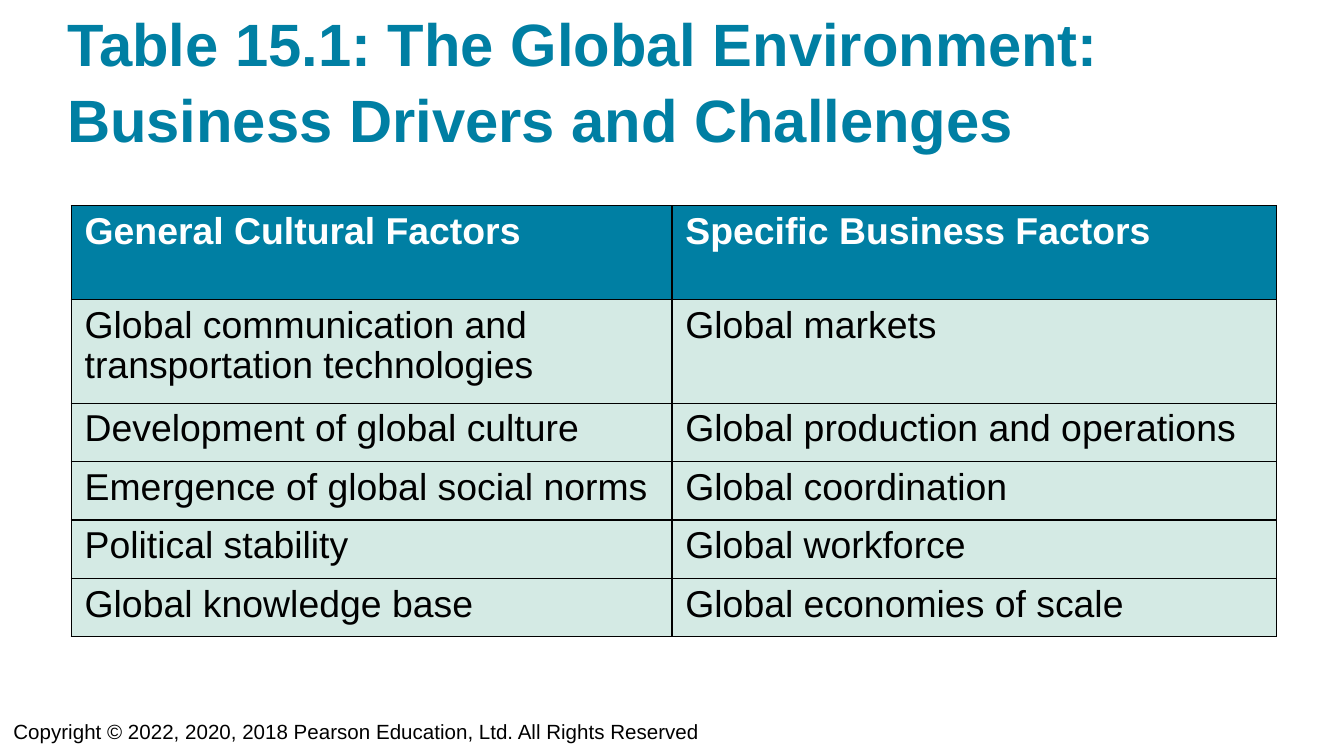
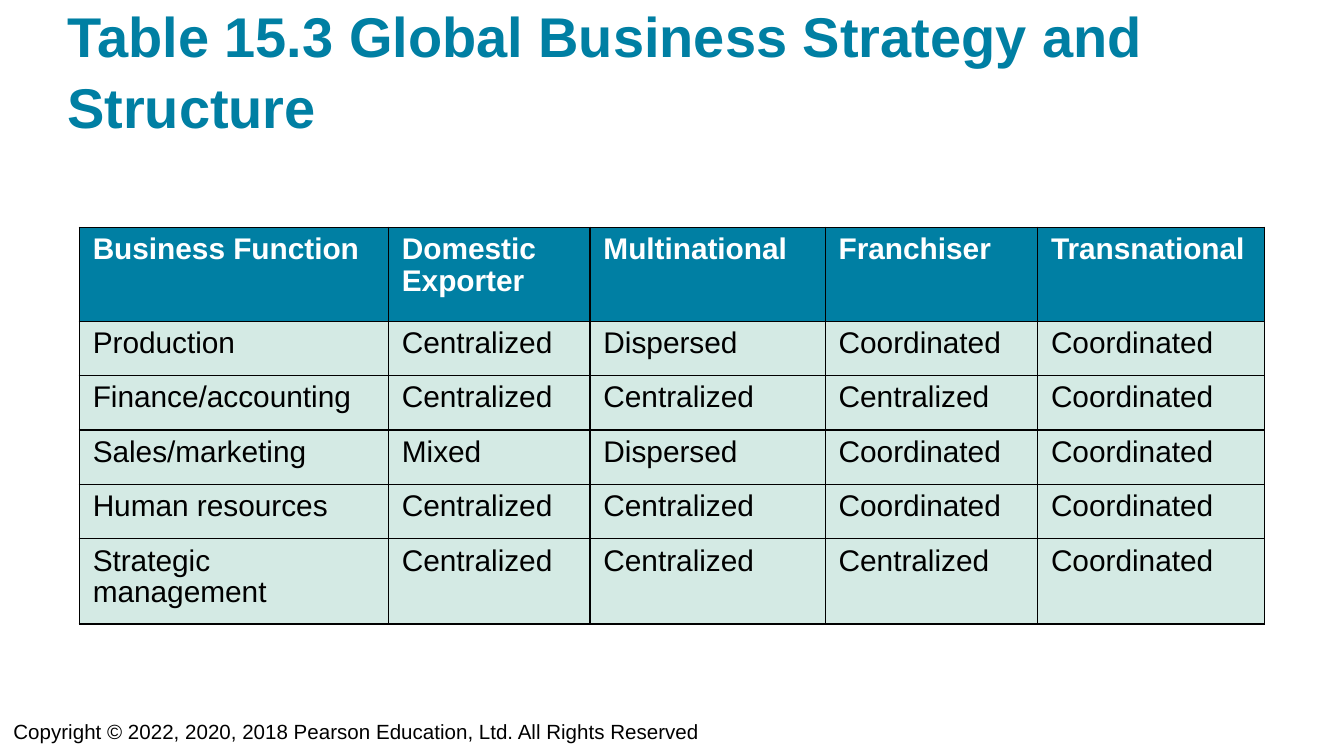
from dataclasses import dataclass

from lxml.etree import SubElement
from pptx import Presentation
from pptx.dml.color import RGBColor
from pptx.enum.text import MSO_ANCHOR as Anchor, MSO_AUTO_SIZE as AutoSize, PP_ALIGN as Align
from pptx.oxml.ns import qn
from pptx.presentation import Presentation as Deck
from pptx.shapes.base import BaseShape
from pptx.slide import Slide
from pptx.table import _Cell as Cell
from pptx.text.text import TextFrame, _Paragraph as Paragraph
from pptx.util import Emu, Inches, Pt

COLORS = {
    "background": "FFFFFF",
    "accent": "007FA3",
    "body": "D4EAE4",
    "header_text": "FFFFFF",
    "text": "000000",
    "border": "000000",
}
FONT = "Arial"
GRID_COLUMNS = 100
SLIDE_WIDTH = Inches(10)
SLIDE_HEIGHT = Emu(SLIDE_WIDTH * 9 // 16)
BORDER_WIDTH = Pt(0.75)
TITLE_SPACING = 1.06
CELL_SPACING = 0.96
COPYRIGHT = "Copyright © 2022, 2020, 2018 Pearson Education, Ltd. All Rights Reserved"


@dataclass(frozen=True)
class Box:
    """A place on the slide, in units of the square grid."""

    left: float
    top: float
    width: float
    height: float


@dataclass(frozen=True)
class TableSlide:
    """The title and the table of one slide, in grid units and points."""

    title: str
    title_box: Box
    title_size: int
    table_left: float
    table_top: float
    column_widths: tuple[float, ...]
    row_heights: tuple[float, ...]
    text_size: int
    rows: tuple[tuple[str, ...], ...]


FOOTER_BOX = Box(1, 52.6, 94, 2.7)

TABLE_SLIDES = (
    TableSlide(
        title="Table 15.1: The Global Environment: Business Drivers and Challenges",
        title_box=Box(5, 0.7, 90, 10.8),
        title_size=32,
        table_left=5.3,
        table_top=15.3,
        column_widths=(44.7, 45),
        row_heights=(7, 7.7) + (4.35,) * 4,
        text_size=20,
        rows=(
            ("General Cultural Factors", "Specific Business Factors"),
            ("Global communication and transportation technologies", "Global markets"),
            ("Development of global culture", "Global production and operations"),
            ("Emergence of global social norms", "Global coordination"),
            ("Political stability", "Global workforce"),
            ("Global knowledge base", "Global economies of scale"),
        ),
    ),
    TableSlide(
        title="Table 15.3 Global Business Strategy and Structure",
        title_box=Box(5, 0.3, 90, 10.1),
        title_size=30,
        table_left=5.9,
        table_top=16.9,
        column_widths=(23, 15, 17.5, 15.8, 16.9),
        row_heights=(7,) + (4.05,) * 4 + (6.35,),
        text_size=16,
        rows=(
            ("Business Function", "Domestic Exporter", "Multinational", "Franchiser", "Transnational"),
            ("Production", "Centralized", "Dispersed", "Coordinated", "Coordinated"),
            ("Finance/accounting", "Centralized", "Centralized", "Centralized", "Coordinated"),
            ("Sales/marketing", "Mixed", "Dispersed", "Coordinated", "Coordinated"),
            ("Human resources", "Centralized", "Centralized", "Coordinated", "Coordinated"),
            ("Strategic management", "Centralized", "Centralized", "Centralized", "Coordinated"),
        ),
    ),
)


def grid(units: float) -> Emu:
    """Turn grid units into a length."""
    return Emu(round(units * SLIDE_WIDTH / GRID_COLUMNS))


def color(name: str) -> RGBColor:
    """Look up a named colour."""
    return RGBColor.from_string(COLORS[name])


def place(shape: BaseShape, box: Box) -> None:
    """Move a shape to its box."""
    shape.left, shape.top = grid(box.left), grid(box.top)
    shape.width, shape.height = grid(box.width), grid(box.height)


def format_paragraph(paragraph: Paragraph, size: int, color_name: str, bold: bool, spacing: float) -> None:
    """Set the alignment, line spacing and font of a paragraph."""
    paragraph.alignment = Align.LEFT
    paragraph.line_spacing = spacing
    for run in paragraph.runs:
        run.font.name = FONT
        run.font.size = Pt(size)
        run.font.bold = bold
        run.font.color.rgb = color(color_name)


def prepare_frame(text_frame: TextFrame) -> None:
    """Give a text frame no insets, wrapped text and a bottom anchor."""
    text_frame.margin_left = text_frame.margin_right = 0
    text_frame.margin_top = text_frame.margin_bottom = 0
    text_frame.word_wrap = True
    text_frame.vertical_anchor = Anchor.BOTTOM


def draw_title(slide: Slide, content: TableSlide) -> None:
    """Fill and format the title placeholder."""
    title = slide.shapes.title
    place(title, content.title_box)
    title.text_frame.text = content.title
    prepare_frame(title.text_frame)
    title.text_frame.auto_size = AutoSize.SHAPE_TO_FIT_TEXT
    format_paragraph(title.text_frame.paragraphs[0], content.title_size, "accent", True, TITLE_SPACING)


def draw_borders(cell: Cell) -> None:
    """Outline all four sides of a cell."""
    properties = cell._tc.get_or_add_tcPr()
    for side in ("lnL", "lnR", "lnT", "lnB"):
        line = SubElement(properties, qn(f"a:{side}"), w=str(BORDER_WIDTH))
        fill = SubElement(line, qn("a:solidFill"))
        SubElement(fill, qn("a:srgbClr"), val=COLORS["border"])


def draw_cell(cell: Cell, text: str, size: int, is_header: bool) -> None:
    """Write and format one table cell."""
    cell.text_frame.text = text
    format_paragraph(
        cell.text_frame.paragraphs[0], size, "header_text" if is_header else "text", is_header, CELL_SPACING
    )
    draw_borders(cell)
    cell.fill.solid()
    cell.fill.fore_color.rgb = color("accent" if is_header else "body")


def draw_table(slide: Slide, content: TableSlide) -> None:
    """Draw the table of a slide."""
    table = slide.shapes.add_table(
        len(content.rows),
        len(content.column_widths),
        grid(content.table_left),
        grid(content.table_top),
        grid(sum(content.column_widths)),
        grid(sum(content.row_heights)),
    ).table
    table.horz_banding = False
    for column, width in zip(table.columns, content.column_widths):
        column.width = grid(width)
    for row_index, (row, height, texts) in enumerate(zip(table.rows, content.row_heights, content.rows)):
        row.height = grid(height)
        for cell, text in zip(row.cells, texts):
            draw_cell(cell, text, content.text_size, row_index == 0)


def draw_footer(slide: Slide) -> None:
    """Draw the copyright line."""
    footer = slide.shapes.add_textbox(0, 0, 0, 0)
    place(footer, FOOTER_BOX)
    footer.text_frame.text = COPYRIGHT
    prepare_frame(footer.text_frame)
    format_paragraph(footer.text_frame.paragraphs[0], 11, "text", False, 1.0)


def build_slide(presentation: Deck, content: TableSlide) -> None:
    """Add one table slide to the presentation."""
    slide = presentation.slides.add_slide(presentation.slide_layouts.get_by_name("Title Only"))
    slide.background.fill.solid()
    slide.background.fill.fore_color.rgb = color("background")
    draw_title(slide, content)
    draw_table(slide, content)
    draw_footer(slide)


def main() -> None:
    """Build and save the presentation."""
    presentation = Presentation()
    presentation.slide_width, presentation.slide_height = SLIDE_WIDTH, SLIDE_HEIGHT
    for content in TABLE_SLIDES:
        build_slide(presentation, content)
    presentation.save("out.pptx")


if __name__ == "__main__":
    main()
